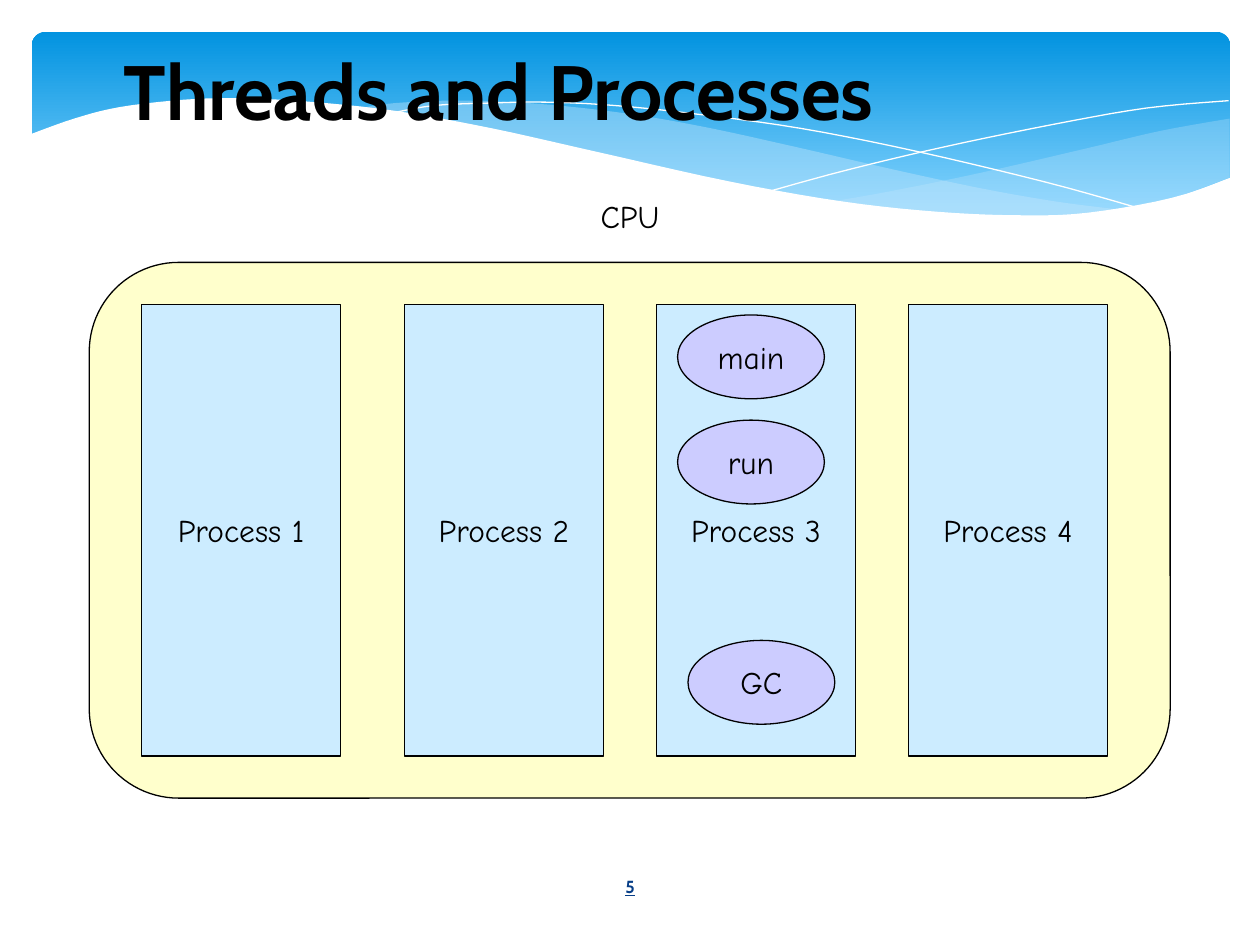
from lxml import etree
from pptx import Presentation
from pptx.dml.color import RGBColor as RGB
from pptx.enum.shapes import MSO_SHAPE as SHAPE
from pptx.enum.text import MSO_ANCHOR as ANCHOR, PP_ALIGN as ALIGN
from pptx.oxml.ns import qn
from pptx.util import Cm, Pt

C = {
    "sky": "0293E0", "pale": "83D3FE", "mist": "C6E7FC", "white": "FFFFFF",
    "black": "000000", "navy": "073E87", "cpu": "FFFFCC",
    "process": "CCECFF", "thread": "CCCCFF",
}


def smooth(points, steps=5):
    padded = [points[0], *points, points[-1]]
    result = [points[0]]
    for a, b, c, d in zip(padded, padded[1:], padded[2:], padded[3:]):
        for k in range(1, steps + 1):
            t = k / steps
            result.append(tuple(
                (2 * q + (r - p) * t + (2 * p - 5 * q + 4 * r - u) * t**2
                 + (3 * q - p - 3 * r + u) * t**3) / 2
                for p, q, r, u in zip(a, b, c, d)))
    return result


def write(sp, text, size, font, color="black", wrap=False):
    tf = sp.text_frame
    tf.text = text
    tf.word_wrap = wrap
    tf.vertical_anchor = ANCHOR.MIDDLE
    p = tf.paragraphs[0]
    p.alignment = ALIGN.CENTER
    f = p.runs[0].font
    f.size, f.name = Pt(size), font
    f.color.rgb = RGB.from_string(C[color])
    return f


prs = Presentation()
prs.slide_width, prs.slide_height = Cm(25.4), Cm(19.05)
s = prs.slides.add_slide(prs.slide_layouts[6])

banner = s.shapes.add_shape(SHAPE.ROUNDED_RECTANGLE, Cm(0.64), Cm(0.64), Cm(24.16), Cm(3.96))
banner.adjustments[0] = 0.071
banner.shadow.inherit = False
banner.line.fill.background()
banner.fill.gradient()
banner.fill.gradient_angle = 270
for stop, color, position in zip(banner.fill.gradient_stops, ("sky", "pale"), (0, 0.9)):
    stop.color.rgb = RGB.from_string(C[color])
    stop.position = position

right_wave = smooth([
    (24.79, 2.39), (23.39, 2.64), (21.87, 3), (19.79, 3.48), (17.93, 3.86), (16.79, 4.06),
]) + smooth([
    (16.79, 4.06), (18.24, 4.24), (19.53, 4.34), (20.93, 4.37), (22.38, 4.24),
    (23.57, 4.01), (24.79, 3.58),
])
middle_wave = smooth([
    (22.68, 4.24), (21.26, 4.06), (19.69, 3.78), (17.93, 3.4), (15.98, 2.95), (14.1, 2.54),
    (12.42, 2.26), (10.67, 2.08), (9.17, 2.03), (7.95, 2.08), (7.26, 2.18),
]) + smooth([
    (7.26, 2.18), (8.69, 2.39), (10.26, 2.69), (12.47, 3.2), (14.38, 3.63), (16.1, 3.96),
    (17.65, 4.19), (19, 4.32), (20.5, 4.39), (21.77, 4.34), (22.68, 4.24),
])
falling_line = smooth([
    (7.85, 2.29), (8.74, 2.13), (9.83, 2.08), (11, 2.06), (12.42, 2.13), (14.12, 2.31),
    (16.15, 2.59), (18.47, 3.05), (21.11, 3.68), (23.04, 4.22),
])
rising_line = smooth([
    (15.57, 3.84), (17.07, 3.43), (19, 2.97), (21.23, 2.51), (23.11, 2.18), (24.77, 2.03),
])
white_wave = smooth([
    (24.81, 3.58), (23.62, 3.99), (21.92, 4.29), (20.55, 4.34), (18.9, 4.27), (16.97, 4.06),
    (14.71, 3.66), (12.07, 3.07), (9.93, 2.59), (8, 2.24), (6.35, 2.06), (4.9, 1.98),
    (3.71, 2.01), (2.41, 2.16), (1.5, 2.39), (0.58, 2.72),
]) + [(0.58, 5.69), (24.81, 5.69)]

for outline, color, alpha in [
    (right_wave, "mist", 29), (middle_wave, "mist", 40),
    (falling_line, None, None), (rising_line, None, None), (white_wave, "white", 100),
]:
    points = [(Cm(x), Cm(y)) for x, y in outline]
    builder = s.shapes.build_freeform(*points[0])
    builder.add_line_segments(points[1:], close=color is not None)
    sp = builder.convert_to_shape()
    sp.shadow.inherit = False
    if color:
        sp.line.fill.background()
        sp.fill.solid()
        sp.fill.fore_color.rgb = RGB.from_string(C[color])
        if alpha < 100:
            rgb = sp._element.spPr.find(qn("a:solidFill"))[0]
            etree.SubElement(rgb, qn("a:alpha")).set("val", str(alpha * 1000))
    else:
        sp.fill.background()
        sp.line.color.rgb = RGB.from_string(C["white"])
        sp.line.width = Pt(0)

for text, x, y, w, h, size, font, color, wrap in [
    ("5", 11.09, 17.37, 3.22, 1.02, 10, "Cabin", "navy", True),
    ("Threads and Processes", 0, 0.64, 20.12, 2.34, 44, "Cabin", "black", True),
    ("CPU", 11.85, 3.84, 1.7, 1.02, 18, "Comic Neue", "black", False),
]:
    box = s.shapes.add_textbox(Cm(x), Cm(y), Cm(w), Cm(h))
    f = write(box, text, size, font, color, wrap)
    f.bold = font == "Cabin"
    f.underline = text == "5"

blocks = [(SHAPE.ROUNDED_RECTANGLE, "", 1.8, 5.29, 21.79, 10.8, "cpu")]
blocks += [(SHAPE.RECTANGLE, f"Process {i}", x, 6.14, 4.02, 9.1, "process")
           for i, x in enumerate((2.85, 8.15, 13.23, 18.31), 1)]
blocks += [(SHAPE.OVAL, name, x, y, 2.96, 1.69, "thread")
           for name, x, y in [("main", 13.66, 6.35), ("run", 13.66, 8.47), ("GC", 13.87, 12.91)]]

for kind, text, x, y, w, h, color in blocks:
    sp = s.shapes.add_shape(kind, Cm(x), Cm(y), Cm(w), Cm(h))
    sp.shadow.inherit = False
    sp.fill.solid()
    sp.fill.fore_color.rgb = RGB.from_string(C[color])
    sp.line.color.rgb = RGB.from_string(C["black"])
    sp.line.width = Pt(0.75)
    if text:
        write(sp, text, 18, "Comic Neue")

prs.save("out.pptx")
